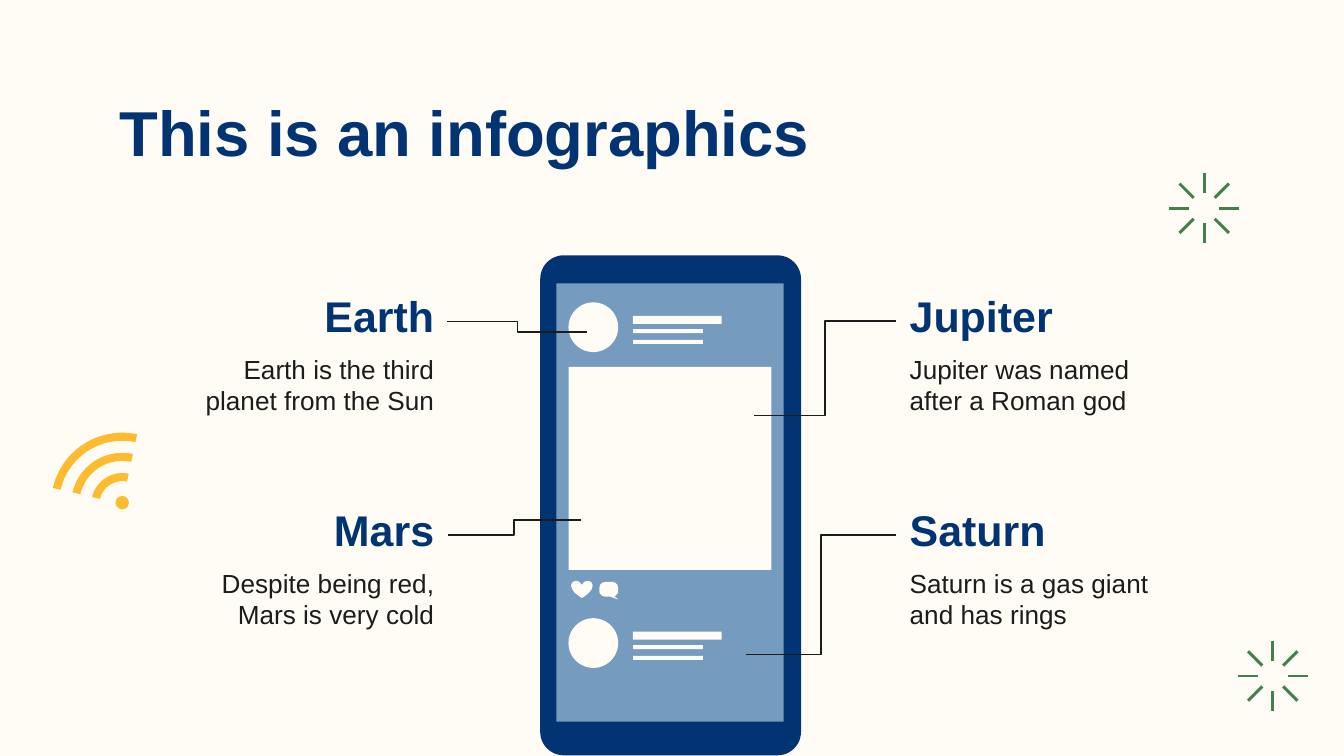
import math
import pptx
import pptx.util
import pptx.dml.color
import pptx.enum.shapes
import pptx.enum.text
import pptx.oxml.ns
import lxml.etree

Inches = pptx.util.Inches
Pt = pptx.util.Pt
RGBColor = pptx.dml.color.RGBColor
Shape = pptx.enum.shapes.MSO_SHAPE
Link = pptx.enum.shapes.MSO_CONNECTOR
Align = pptx.enum.text.PP_ALIGN
Anchor = pptx.enum.text.MSO_ANCHOR

CREAM = RGBColor(0xFF, 0xFC, 0xF6)
NAVY = RGBColor(0x02, 0x34, 0x73)
BLUE = RGBColor(0x75, 0x9B, 0xBF)
INK = RGBColor(0x1D, 0x1B, 0x1C)
GOLD = RGBColor(0xFD, 0xBC, 0x2F)
GREEN = RGBColor(0x44, 0x80, 0x4A)


class Page:
    font = "Arial"

    def __init__(self, slide):
        self.slide = slide
        slide.background.fill.solid()
        slide.background.fill.fore_color.rgb = CREAM

    def paint(self, shape, color):
        shape.shadow.inherit = False
        shape.fill.solid()
        shape.fill.fore_color.rgb = color
        shape.line.fill.background()
        return shape

    def text(self, words, x, y, w, h, size, color=INK, bold=False,
             align=Align.LEFT, anchor=Anchor.TOP):
        box = self.slide.shapes.add_textbox(Inches(x), Inches(y), Inches(w), Inches(h))
        frame = box.text_frame
        frame.text = words
        frame.word_wrap = True
        frame.vertical_anchor = anchor
        frame.margin_left = frame.margin_right = Inches(0.1)
        frame.margin_top = frame.margin_bottom = Inches(0.1)
        para = frame.paragraphs[0]
        para.alignment = align
        font = para.runs[0].font
        font.name = self.font
        font.size = Pt(size)
        font.bold = bold
        font.color.rgb = color

    def shape(self, kind, x, y, w, h, color):
        item = self.slide.shapes.add_shape(kind, Inches(x), Inches(y), Inches(w), Inches(h))
        return self.paint(item, color)

    def line(self, kind, x1, y1, x2, y2, color, width):
        item = self.slide.shapes.add_connector(
            kind, Inches(x1), Inches(y1), Inches(x2), Inches(y2))
        item.line.color.rgb = color
        item.line.width = Pt(width)
        props = item._element.spPr
        lxml.etree.SubElement(props, pptx.oxml.ns.qn("a:effectLst"))

    def arc(self, x, y, outer, inner, start, end):
        turns = range(start, end + 1)
        points = [(x + r * math.cos(math.radians(t)), y + r * math.sin(math.radians(t)))
                  for r, way in ((outer, turns), (inner, reversed(turns))) for t in way]
        spots = [(Inches(a), Inches(b)) for a, b in points]
        pen = self.slide.shapes.build_freeform(*spots[0])
        pen.add_line_segments(spots[1:], close=True)
        self.paint(pen.convert_to_shape(), GOLD)

    def burst(self, x, y):
        for turn in range(8):
            dx = math.cos(turn * math.pi / 4)
            dy = math.sin(turn * math.pi / 4)
            self.line(Link.STRAIGHT, x + 0.26 * dx, y + 0.26 * dy,
                      x + 0.11 * dx, y + 0.11 * dy, GREEN, 1.58)

    def post(self, y):
        self.shape(Shape.OVAL, 4.23, y, 0.37, 0.37, CREAM)
        for drop, w, h in ((0.1, 0.66, 0.06), (0.2, 0.52, 0.03), (0.28, 0.52, 0.03)):
            self.shape(Shape.RECTANGLE, 4.71, y + drop, w, h, CREAM)

    def topic(self, name, note, x, y, align):
        self.text(name, x, y, 1.98, 0.5, 23, NAVY, True, align, Anchor.BOTTOM)
        self.text(note, x, y + 0.39, 1.98, 0.69, 14, align=align)


def main():
    deck = pptx.Presentation()
    deck.slide_width = Inches(10)
    deck.slide_height = deck.slide_width * 9 // 16
    page = Page(deck.slides.add_slide(deck.slide_layouts[6]))

    page.text("This is an infographics", 0.79, 0.59, 8.43, 0.61, 34, NAVY, True)

    for outer in (0.53, 0.38, 0.23):
        page.arc(0.91, 3.75, outer, outer - 0.06, 193, 282)
    page.shape(Shape.OVAL, 0.86, 3.69, 0.1, 0.1, GOLD)
    page.burst(8.96, 1.55)
    page.burst(9.47, 5.03)

    phone = page.shape(Shape.ROUNDED_RECTANGLE, 4.02, 1.9, 1.94, 3.72, NAVY)
    phone.adjustments[0] = 0.09
    page.shape(Shape.RECTANGLE, 4.14, 2.11, 1.69, 3.26, BLUE)
    page.shape(Shape.RECTANGLE, 4.23, 2.73, 1.51, 1.51, CREAM)
    page.post(2.25)
    page.post(4.6)
    page.shape(Shape.HEART, 4.25, 4.32, 0.16, 0.13, CREAM)
    chat = page.shape(Shape.ROUNDED_RECTANGULAR_CALLOUT, 4.46, 4.33, 0.14, 0.11, CREAM)
    for i, value in enumerate((0.5, 0.68, 0.4)):
        chat.adjustments[i] = value

    topics = (
        ("Earth", "Earth is the third planet from the Sun", 1.35, 2.14, 4.37, 2.47),
        ("Mars", "Despite being red, Mars is very cold", 1.35, 3.73, 4.32, 3.87),
        ("Jupiter", "Jupiter was named after a Roman god", 6.67, 2.14, 5.61, 3.09),
        ("Saturn", "Saturn is a gas giant and has rings", 6.67, 3.73, 5.55, 4.87),
    )
    for name, note, x, y, tip, low in topics:
        left = x < 5
        page.topic(name, note, x, y, Align.RIGHT if left else Align.LEFT)
        page.line(Link.ELBOW, x + 1.98 if left else x, y + 0.25, tip, low, INK, 0.75)

    deck.save("out.pptx")


if __name__ == "__main__":
    main()
